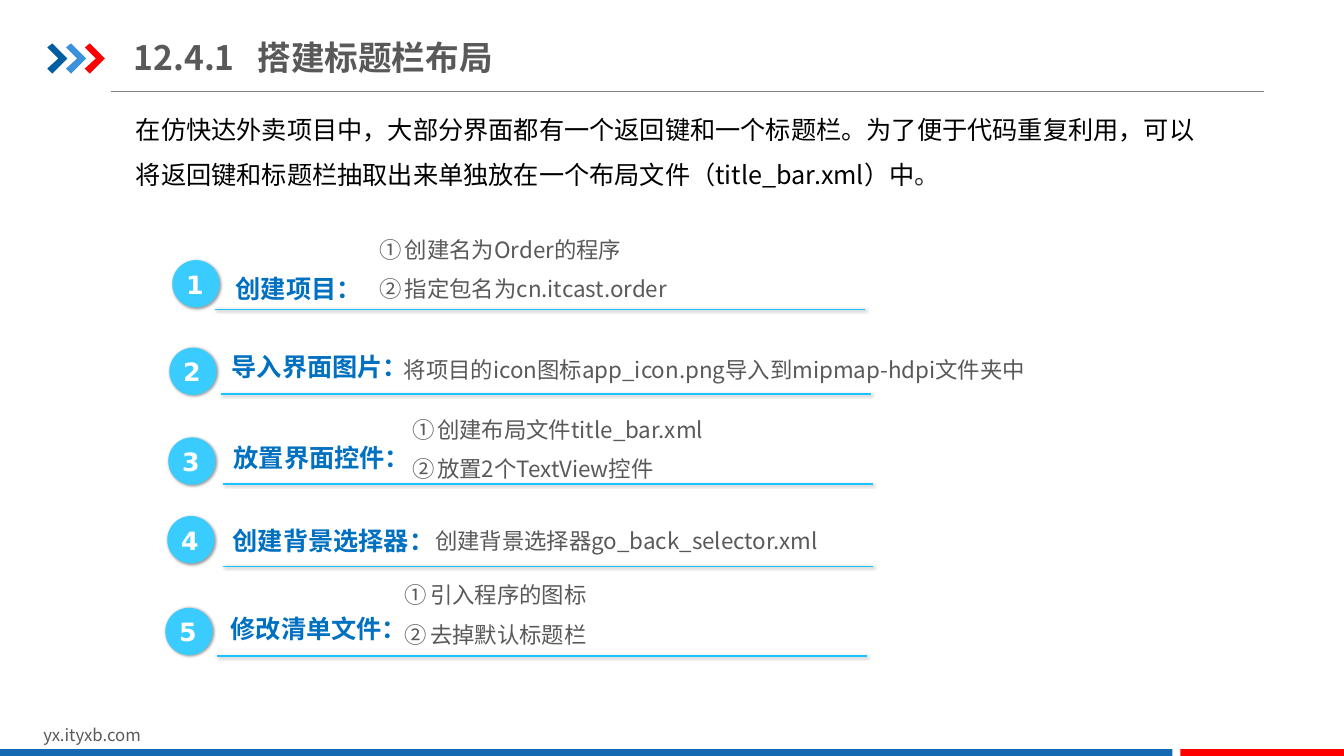
"""Build the slide on laying out a title bar in five steps."""
from dataclasses import dataclass

from lxml import etree
from pptx import Presentation
from pptx import util as u
from pptx.dml.color import RGBColor
from pptx.enum import shapes, text
from pptx.oxml import ns


@dataclass(frozen=True)
class Theme:
    sans: str = "Noto Sans CJK SC"
    digits: str = "DejaVu Sans"
    ink: str = "000000"
    full_stop: str = "262626"
    grey: str = "595959"
    rule: str = "808080"
    label: str = "0070C0"
    badge: str = "3BCCFF"
    underline: str = "19C3FF"
    white: str = "FFFFFF"
    navy: str = "005DA2"
    sky: str = "3992DB"
    red: str = "FF0000"
    bar: str = "1369B2"
    title_size: float = 24
    body_size: float = 18
    detail_size: float = 16
    footer_size: float = 12


@dataclass(frozen=True)
class Box:
    left: float
    top: float
    width: float
    height: float

    def lengths(self) -> list:
        return [u.Pt(v) for v in (self.left, self.top, self.width, self.height)]


@dataclass(frozen=True)
class Step:
    label: str
    details: tuple[str, ...]
    badge_at: tuple[float, float]
    label_box: Box
    underline_at: tuple[float, float]
    detail_box: Box
    label_spacing: float = 1.0


THEME = Theme()
BADGE_SIZE = 33.8
BADGE_INSET = 2.8
UNDERLINE_LENGTH = 464.8
CHEVRON = ((0, 2.9), (3.6, 0), (14.4, 10.8), (3.6, 21.6), (0, 18), (7.9, 10.8))
CHEVRON_LEFT, CHEVRON_TOP, CHEVRON_PITCH = 33.8, 31, 13.4
STEPS = (
    Step("创建项目：", ("创建名为Order的程序", "指定包名为cn.itcast.order"),
         (123.1, 185.8), Box(161.3, 185, 134.6, 35.3), (153.4, 221),
         Box(264.2, 159.1, 338.4, 60.5), 1.3),
    Step("导入界面图片：", ("将项目的icon图标app_icon.png导入到mipmap-hdpi文件夹中",),
         (121, 248.4), Box(158.4, 247.7, 145.4, 28.8), (157.7, 281.5),
         Box(281.5, 244.8, 482.4, 32.4)),
    Step("放置界面控件：", ("创建布局文件title_bar.xml", "放置2个TextView控件"),
         (120.2, 312.5), Box(159.8, 312.5, 145.4, 28.8), (159.1, 345.6),
         Box(287.3, 288, 338.4, 60.5)),
    Step("创建背景选择器：", ("创建背景选择器go_back_selector.xml",),
         (119.5, 368.6), Box(159.1, 371.5, 163.4, 28.8), (159.1, 404.6),
         Box(303.8, 367.2, 317.5, 32.4)),
    Step("修改清单文件：", ("引入程序的图标", "去掉默认标题栏"),
         (118.1, 434.2), Box(157.7, 434.2, 145.4, 28.8), (154.8, 468.7),
         Box(282.2, 406.1, 338.4, 60.5)),
)


def apply(target, formats: dict) -> None:
    for name, value in formats.items():
        setattr(target, name, value)


def add_run(paragraph, words: str, size: float, color: str, bold: bool = False,
            font: str = THEME.sans) -> None:
    run = paragraph.add_run()
    run.text = words
    apply(run.font, {"size": u.Pt(size), "bold": bold, "name": font})
    run.font.color.rgb = RGBColor.from_string(color)
    east_asian = etree.SubElement(run.font._element, ns.qn("a:ea"))
    east_asian.set("typeface", font)


def add_text(slide, box: Box, lines: tuple[str, ...], size: float, color: str,
             bold: bool = False, font: str = THEME.sans, wrap: bool = True,
             spacing: float = 1.0, after: float = 0):
    frame = slide.shapes.add_textbox(*box.lengths()).text_frame
    apply(frame, {"word_wrap": wrap, "auto_size": text.MSO_AUTO_SIZE.SHAPE_TO_FIT_TEXT})
    for index, words in enumerate(lines):
        paragraph = frame.add_paragraph() if index else frame.paragraphs[0]
        if len(lines) > 1:
            properties = paragraph._p.get_or_add_pPr()
            properties.set("marL", str(u.Pt(18)))
            properties.set("indent", str(-u.Pt(18)))
            number = etree.SubElement(properties, ns.qn("a:buAutoNum"))
            number.set("type", "circleNumDbPlain")
        apply(paragraph, {"line_spacing": spacing, "space_after": u.Pt(after)})
        add_run(paragraph, words, size, color, bold, font)
    return frame


def paint(shape, color: str) -> None:
    shape.shadow.inherit = False
    shape.fill.solid()
    shape.fill.fore_color.rgb = RGBColor.from_string(color)
    shape.line.fill.background()


def cast_shadow(effects) -> None:
    shadow = etree.SubElement(effects, ns.qn("a:outerShdw"))
    for name, value in {"blurRad": u.Pt(2), "dist": u.Pt(1), "dir": 45 * 60000,
                        "rotWithShape": 0}.items():
        shadow.set(name, str(value))
    black = etree.SubElement(shadow, ns.qn("a:srgbClr"), val="000000")
    etree.SubElement(black, ns.qn("a:alpha"), val="40000")


def add_line(slide, left: float, top: float, length: float, color: str, weight: float):
    line = slide.shapes.add_connector(shapes.MSO_CONNECTOR.STRAIGHT, u.Pt(left),
                                      u.Pt(top), u.Pt(left + length), u.Pt(top))
    line.line.color.rgb = RGBColor.from_string(color)
    line.line.width = u.Pt(weight)
    return etree.SubElement(line._element.spPr, ns.qn("a:effectLst"))


def add_frame(slide) -> None:
    add_line(slide, 79.2, 65.5, 823.7, THEME.rule, 0.75)
    for index, color in enumerate((THEME.navy, THEME.sky, THEME.red)):
        left = CHEVRON_LEFT + index * CHEVRON_PITCH
        points = [(u.Pt(left + x), u.Pt(CHEVRON_TOP + y)) for x, y in CHEVRON]
        outline = slide.shapes.build_freeform(*points[0])
        outline.add_line_segments(points[1:])
        paint(outline.convert_to_shape(), color)
    add_text(slide, Box(23.8, 514.1, 229, 21.6), ("yx.ityxb.com",),
             THEME.footer_size, THEME.grey)
    for box, color in ((Box(0, 535, 837.4, 6.2), THEME.bar),
                       (Box(843.1, 535, 117.2, 6.2), THEME.red)):
        paint(slide.shapes.add_shape(shapes.MSO_SHAPE.RECTANGLE, *box.lengths()), color)


def add_title(slide) -> None:
    title = slide.shapes.title
    apply(title, dict(zip(("left", "top", "width", "height"),
                          Box(90, 20.9, 518.4, 39.6).lengths())))
    apply(title.text_frame, {
        "margin_left": u.Pt(5.5), "margin_right": 0, "margin_top": u.Pt(5),
        "margin_bottom": u.Pt(5), "word_wrap": True,
        "auto_size": text.MSO_AUTO_SIZE.NONE,
        "vertical_anchor": text.MSO_ANCHOR.MIDDLE})
    heading = title.text_frame.paragraphs[0]
    stops = etree.SubElement(heading._p.get_or_add_pPr(), ns.qn("a:tabLst"))
    etree.SubElement(stops, ns.qn("a:tab"), pos=str(u.Pt(88.5)), algn="l")
    apply(heading, {"alignment": text.PP_ALIGN.LEFT, "line_spacing": 1.0})
    add_run(heading, "12.4.1\t搭建标题栏布局", THEME.title_size, THEME.grey, True)


def add_step(slide, number: int, step: Step) -> None:
    left, top = step.badge_at
    badge = slide.shapes.add_shape(shapes.MSO_SHAPE.OVAL,
                                   *Box(left, top, BADGE_SIZE, BADGE_SIZE).lengths())
    paint(badge, THEME.badge)
    badge.rotation = 9.6
    cast_shadow(badge._element.spPr.find(ns.qn("a:effectLst")))
    add_text(slide, Box(left + BADGE_INSET, top + BADGE_INSET, 27.4, 28.8),
             (str(number),), THEME.body_size, THEME.white, True, THEME.digits, False)
    add_text(slide, step.label_box, (step.label,), THEME.body_size, THEME.label,
             True, wrap=step.label_spacing > 1, spacing=step.label_spacing)
    cast_shadow(add_line(slide, *step.underline_at, UNDERLINE_LENGTH, THEME.underline, 1))
    add_text(slide, step.detail_box, step.details, THEME.detail_size, THEME.grey,
             spacing=1.3, after=3)


def main() -> None:
    deck = Presentation()
    apply(deck, {"slide_width": u.Pt(960), "slide_height": u.Pt(540)})
    slide = deck.slides.add_slide(deck.slide_layouts[5])
    add_frame(slide)
    add_title(slide)
    intro = add_text(
        slide, Box(90, 67, 771.1, 72.7),
        ("在仿快达外卖项目中，大部分界面都有一个返回键和一个标题栏。为了便于代码重复利用，"
         "可以将返回键和标题栏抽取出来单独放在一个布局文件（title_bar.xml）中",),
        THEME.body_size, THEME.ink, spacing=1.5)
    add_run(intro.paragraphs[0], "。", THEME.body_size, THEME.full_stop)
    for number, step in enumerate(STEPS, 1):
        add_step(slide, number, step)
    deck.save("out.pptx")


if __name__ == "__main__":
    main()
